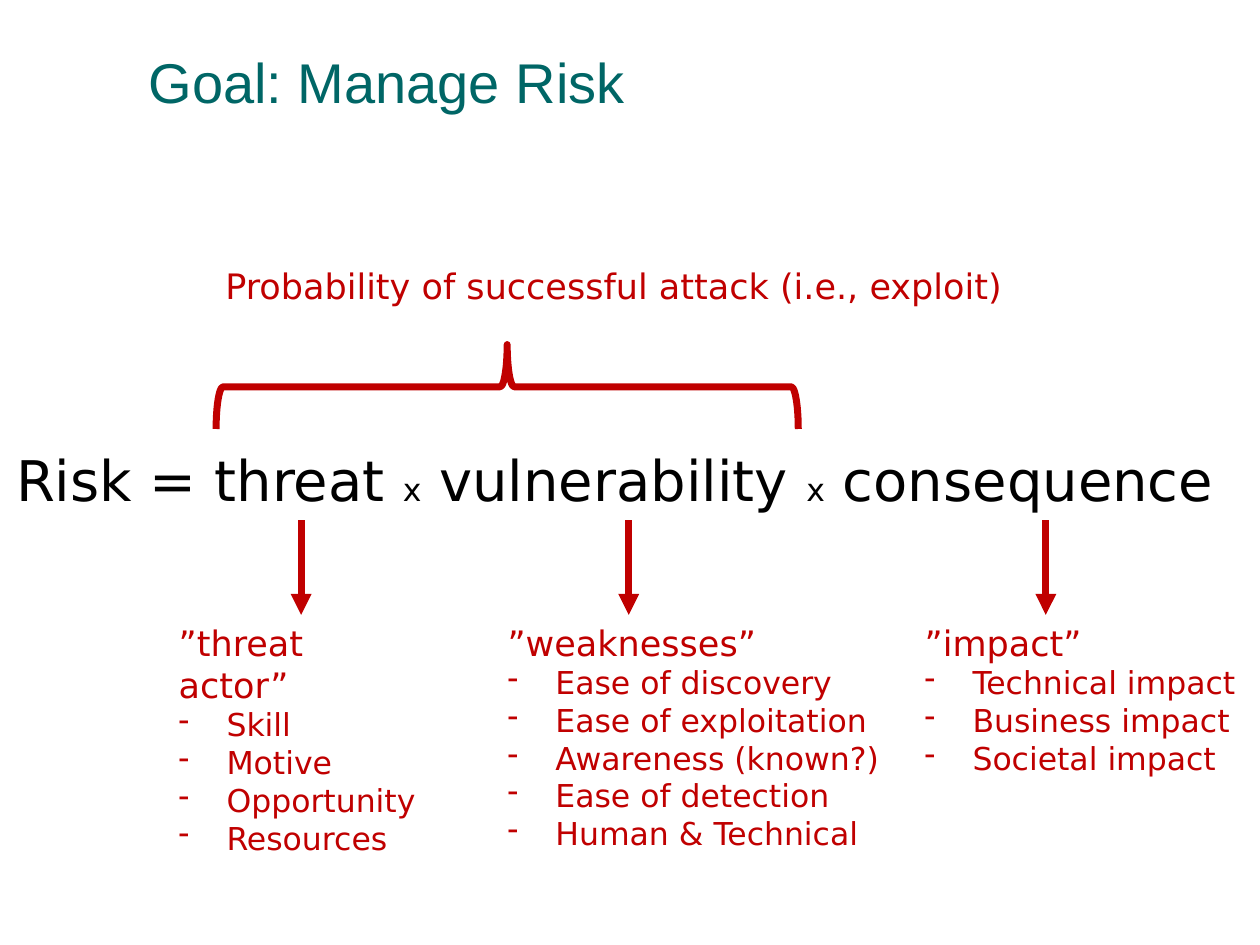
from lxml.etree import SubElement
from pptx import Presentation
from pptx.dml.color import RGBColor
from pptx.enum.shapes import MSO_CONNECTOR, MSO_SHAPE
from pptx.oxml.ns import qn
from pptx.util import Inches, Pt

RED, BLACK, TEAL = "C00000", "000000", "006666"
SANS = "DejaVu Sans"

TITLE = "Goal: Manage Risk"
CLAIM = "Probability of successful attack (i.e., exploit)"
RISK = [("Risk = threat ", 32), ("x", 18), (" vulnerability ", 32),
        ("x", 18), (" consequence", 32)]
FACTORS = [
    (1.32, 2.13, 2.39, "”threat actor”",
     ["Skill", "Motive", "Opportunity", "Resources"]),
    (3.93, 3.22, 4.99, "”weaknesses”",
     ["Ease of discovery", "Ease of exploitation", "Awareness (known?)",
      "Ease of detection", "Human & Technical"]),
    (7.24, 2.68, 8.3, "”impact”",
     ["Technical impact", "Business impact", "Societal impact"]),
]
ARROW_TOP, LIST_TOP = 4.13, 4.88


def color(code):
    return RGBColor.from_string(code)


def style(run, size, code, face=SANS):
    run.font.size = Pt(size)
    run.font.name = face
    run.font.color.rgb = color(code)


def add_box(slide, left, top, width, height):
    box = slide.shapes.add_textbox(*map(Inches, (left, top, width, height)))
    box.text_frame.word_wrap = True
    return box.text_frame


def add_line(slide, left, top, width, height, text, size, code, face=SANS):
    frame = add_box(slide, left, top, width, height)
    frame.text = text
    style(frame.paragraphs[0].runs[0], size, code, face)
    return frame


def add_dash(para):
    props = para._p.get_or_add_pPr()
    props.set("marL", str(Inches(0.38)))
    props.set("indent", str(-Inches(0.38)))
    SubElement(props, qn("a:buChar")).set("char", "-")


def add_arrow(slide, left):
    arrow = slide.shapes.add_connector(
        MSO_CONNECTOR.STRAIGHT, Inches(left), Inches(ARROW_TOP),
        Inches(left), Inches(LIST_TOP))
    arrow.line.color.rgb = color(RED)
    arrow.line.width = Pt(4)
    SubElement(arrow.line._get_or_add_ln(), qn("a:tailEnd")).set("type", "triangle")
    SubElement(arrow._element.spPr, qn("a:effectLst"))


def add_brace(slide):
    brace = slide.shapes.add_shape(
        MSO_SHAPE.LEFT_BRACE, *map(Inches, (3.69, 0.76, 0.67, 4.62)))
    brace.rotation = 90
    brace.shadow.inherit = False
    brace.fill.background()
    brace.line.color.rgb = color(RED)
    brace.line.width = Pt(4)


def add_factor(slide, left, width, center, head, items):
    height = 0.45 + 0.3 * len(items)
    frame = add_line(slide, left, LIST_TOP, width, height, head, 20, RED)
    for item in items:
        para = frame.add_paragraph()
        add_dash(para)
        para.text = item
        style(para.runs[0], 18, RED)
    add_arrow(slide, center)


def main():
    deck = Presentation()
    deck.slide_width, deck.slide_height = Inches(10), Inches(7.5)
    slide = deck.slides.add_slide(deck.slide_layouts[6])

    add_line(slide, 1.08, 0.33, 8.25, 0.64, TITLE, 32, TEAL, "Arial")
    add_line(slide, 1.69, 2.05, 6.47, 0.44, CLAIM, 20, RED)
    add_brace(slide)

    para = add_box(slide, 0.03, 3.49, 9.87, 0.64).paragraphs[0]
    for text, size in RISK:
        run = para.add_run()
        run.text = text
        style(run, size, BLACK)

    for factor in FACTORS:
        add_factor(slide, *factor)
    deck.save("out.pptx")


if __name__ == "__main__":
    main()
